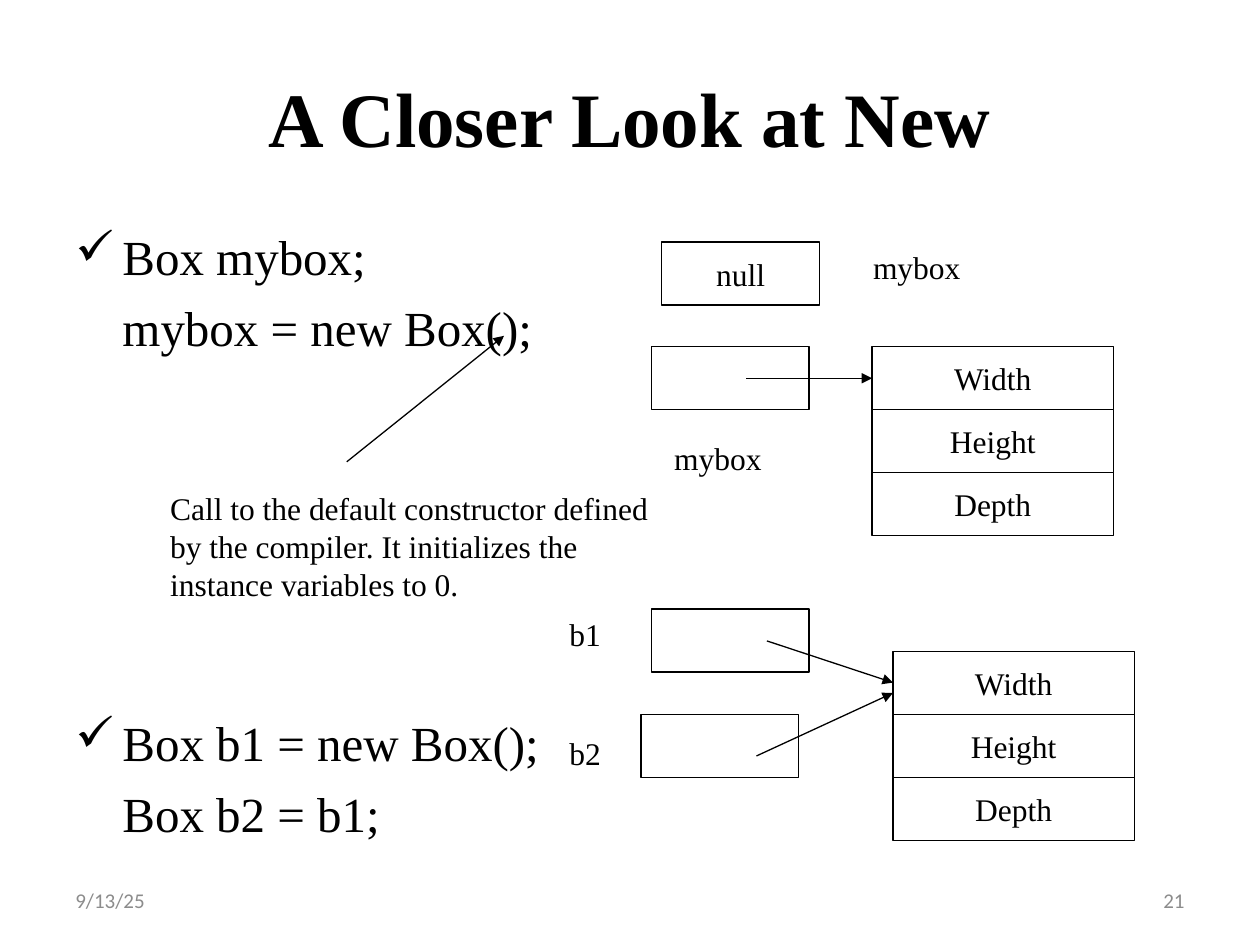
from lxml import etree
from pptx import Presentation
from pptx.dml.color import RGBColor
from pptx.enum.shapes import MSO_CONNECTOR, MSO_SHAPE
from pptx.enum.text import MSO_ANCHOR, PP_ALIGN
from pptx.oxml.ns import qn
from pptx.util import Cm, Pt

BLACK = RGBColor(0x00, 0x00, 0x00)
WHITE = RGBColor(0xFF, 0xFF, 0xFF)
GREY = RGBColor(0x8C, 0x8C, 0x8C)
RECTANGLE, STRAIGHT = MSO_SHAPE.RECTANGLE, MSO_CONNECTOR.STRAIGHT
TOP, MIDDLE = MSO_ANCHOR.TOP, MSO_ANCHOR.MIDDLE
LEFT, CENTER, RIGHT = PP_ALIGN.LEFT, PP_ALIGN.CENTER, PP_ALIGN.RIGHT

SERIF = "Times New Roman"
TITLE = {"name": SERIF, "size": Pt(44), "bold": True}
CODE = {"name": SERIF, "size": Pt(28)}
LABEL = {"name": SERIF, "size": Pt(18)}
FOOTER = {"name": "Calibri", "size": Pt(12)}
LINE_WIDTH = Pt(0.75)
CELL_HEIGHT = 1.27
REFERENCE_WIDTH = 3.18
OBJECT_WIDTH = 4.87
CODE_INDENT = Cm(0.95)
FIELDS = ("Width", "Height", "Depth")
CODE_LINES = (
    ("Box mybox;", True, 5),
    ("mybox = new Box();", False, 7),
    ("Box b1 = new Box();", True, 203),
    ("Box b2 = b1;", False, 7),
)


def apply_format(target, values):
    """Set each attribute in values on target."""
    for attribute, value in values.items():
        setattr(target, attribute, value)


def write(paragraph, text, font, color=BLACK, align=LEFT):
    """Put one formatted run of text into a paragraph."""
    paragraph.alignment = align
    run = paragraph.add_run()
    run.text = text
    apply_format(run.font, font)
    run.font.color.rgb = color


def add_text(slide, box, text, font=LABEL, color=BLACK, align=LEFT, anchor=TOP):
    """Add a wrapping text box."""
    frame = slide.shapes.add_textbox(*map(Cm, box)).text_frame
    apply_format(frame, {"word_wrap": True, "vertical_anchor": anchor})
    write(frame.paragraphs[0], text, font, color, align)


def add_cell(slide, left, top, width=REFERENCE_WIDTH, text=""):
    """Add an outlined memory cell with optional centred text."""
    cell = slide.shapes.add_shape(
        RECTANGLE, Cm(left), Cm(top), Cm(width), Cm(CELL_HEIGHT))
    cell.shadow.inherit = False
    cell.fill.solid()
    cell.fill.fore_color.rgb = WHITE
    cell.line.color.rgb = BLACK
    cell.line.width = LINE_WIDTH
    apply_format(cell.text_frame, {"word_wrap": False, "vertical_anchor": MIDDLE})
    if text:
        write(cell.text_frame.paragraphs[0], text, LABEL, align=CENTER)


def add_object(slide, left, top):
    """Stack the fields of a Box object."""
    for row, field in enumerate(FIELDS):
        add_cell(slide, left, top + row * CELL_HEIGHT, OBJECT_WIDTH, field)


def add_arrow(slide, *ends):
    """Add a straight arrow given x and y of its start and end."""
    arrow = slide.shapes.add_connector(STRAIGHT, *map(Cm, ends))
    arrow.line.color.rgb = BLACK
    arrow.line.width = LINE_WIDTH
    head = etree.SubElement(arrow.line._get_or_add_ln(), qn("a:tailEnd"))
    head.set("type", "triangle")
    etree.SubElement(arrow._element.spPr, qn("a:effectLst"))


def place_title(slide, left, top, width, height):
    """Move and format the title placeholder."""
    title = slide.shapes.title
    apply_format(title, {"left": Cm(left), "top": Cm(top),
                         "width": Cm(width), "height": Cm(height)})
    title.text_frame.vertical_anchor = MIDDLE
    write(title.text_frame.paragraphs[0], "A Closer Look at New", TITLE, align=CENTER)


def place_code(slide, left, top, width, height):
    """List the code lines, with a check mark before each statement group."""
    frame = slide.shapes.add_textbox(*map(Cm, (left, top, width, height))).text_frame
    frame.word_wrap = True
    for row, (code, checked, space) in enumerate(CODE_LINES):
        paragraph = frame.add_paragraph() if row else frame.paragraphs[0]
        write(paragraph, code, CODE)
        paragraph.space_before = Pt(space)
        properties = paragraph._p.get_or_add_pPr()
        properties.set("marL", str(CODE_INDENT))
        if checked:
            properties.set("indent", str(-CODE_INDENT))
            etree.SubElement(properties, qn("a:buChar")).set("char", "✓")


def place_constructor_note(slide, left, top, width):
    """Explain the constructor call with a note and an arrow."""
    add_text(slide, (left, top + 2.97, width, 2.54),
             "Call to the default constructor defined by the compiler. "
             "It initializes the instance variables to 0.")
    add_arrow(slide, left + 3.81, top + 2.54, left + 6.98, top)


def place_single_reference(slide, left, top):
    """Show mybox before and after it refers to an object."""
    second_row = top + 2.11
    middle = second_row + CELL_HEIGHT / 2
    add_cell(slide, left + 0.21, top, text="null")
    add_text(slide, (left + 4.22, top, 2.97, 1.02), "mybox")
    add_cell(slide, left, second_row)
    add_text(slide, (left + 0.21, top + 3.84, 2.97, 1.02), "mybox")
    add_object(slide, left + 4.45, second_row)
    add_arrow(slide, left + 1.91, middle, left + 4.45, middle)


def place_shared_reference(slide, left, top):
    """Show b1 and b2 referring to the same object."""
    object_left = left + 6.77
    add_object(slide, object_left, top + 0.85)
    for name, label_top, cell_left, cell_top, start_y, end_y in (
            ("b1", 0, 1.9, 0, 0.64, 1.48),
            ("b2", 2.39, 1.69, 2.12, 2.96, 1.69)):
        add_text(slide, (left, top + label_top, 1.48, 1.02), name)
        add_cell(slide, left + cell_left, top + cell_top)
        add_arrow(slide, left + cell_left + 2.33, top + start_y,
                  object_left, top + end_y)


def place_footer(slide, left, top, width, height):
    """Put the date at the left and the slide number at the right."""
    part_width = 5.93
    for text, offset, align in (("9/13/25", 0, LEFT),
                                ("21", width - part_width, RIGHT)):
        add_text(slide, (left + offset, top, part_width, height),
                 text, FOOTER, GREY, align, MIDDLE)


def main():
    """Build and save the slide."""
    deck = Presentation()
    deck.slide_width, deck.slide_height = Cm(25.4), Cm(19.05)
    slide = deck.slides.add_slide(deck.slide_layouts.get_by_name("Title Only"))
    place_title(slide, 1.27, 0.76, 22.86, 3.18)
    place_code(slide, 1.27, 4.45, 23.28, 13.76)
    place_footer(slide, 1.27, 17.65, 22.86, 1.01)
    place_single_reference(slide, 13.13, 4.88)
    place_constructor_note(slide, 3.18, 6.77, 10.8)
    place_shared_reference(slide, 11.23, 12.28)
    deck.save("out.pptx")


if __name__ == "__main__":
    main()
